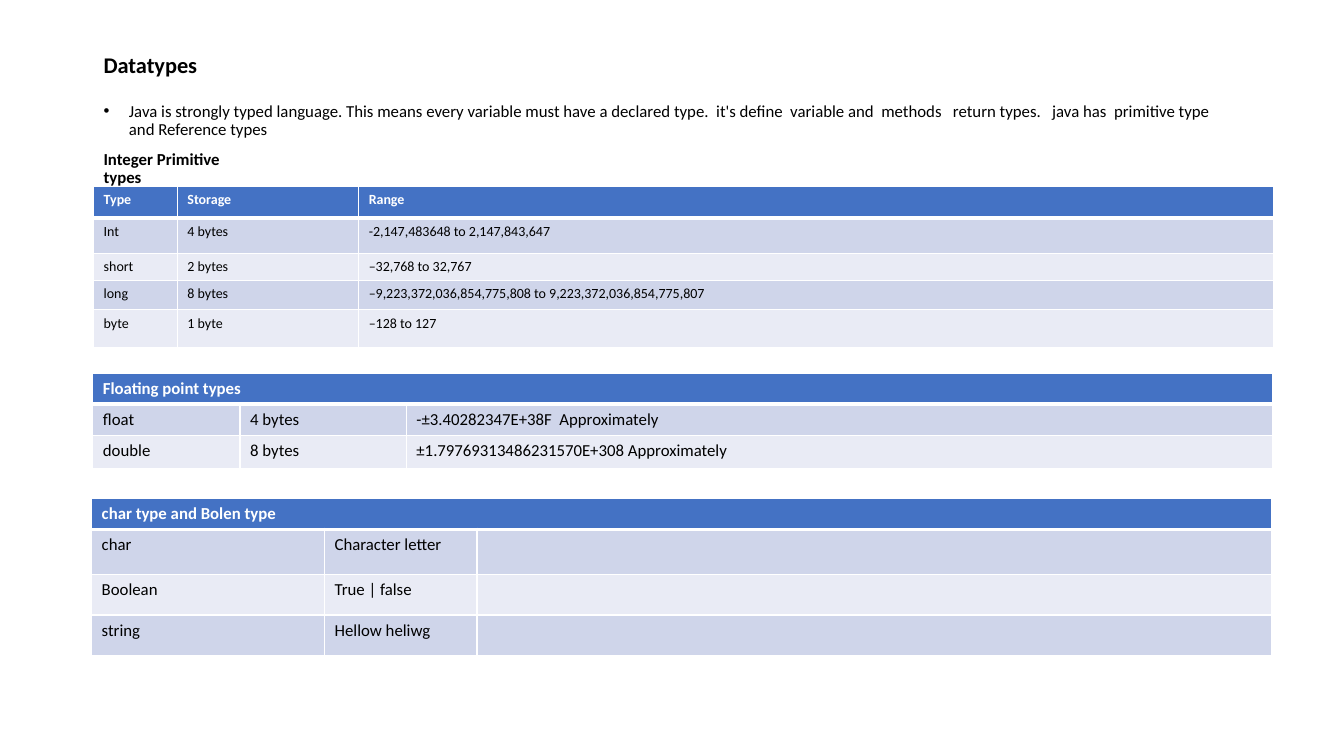
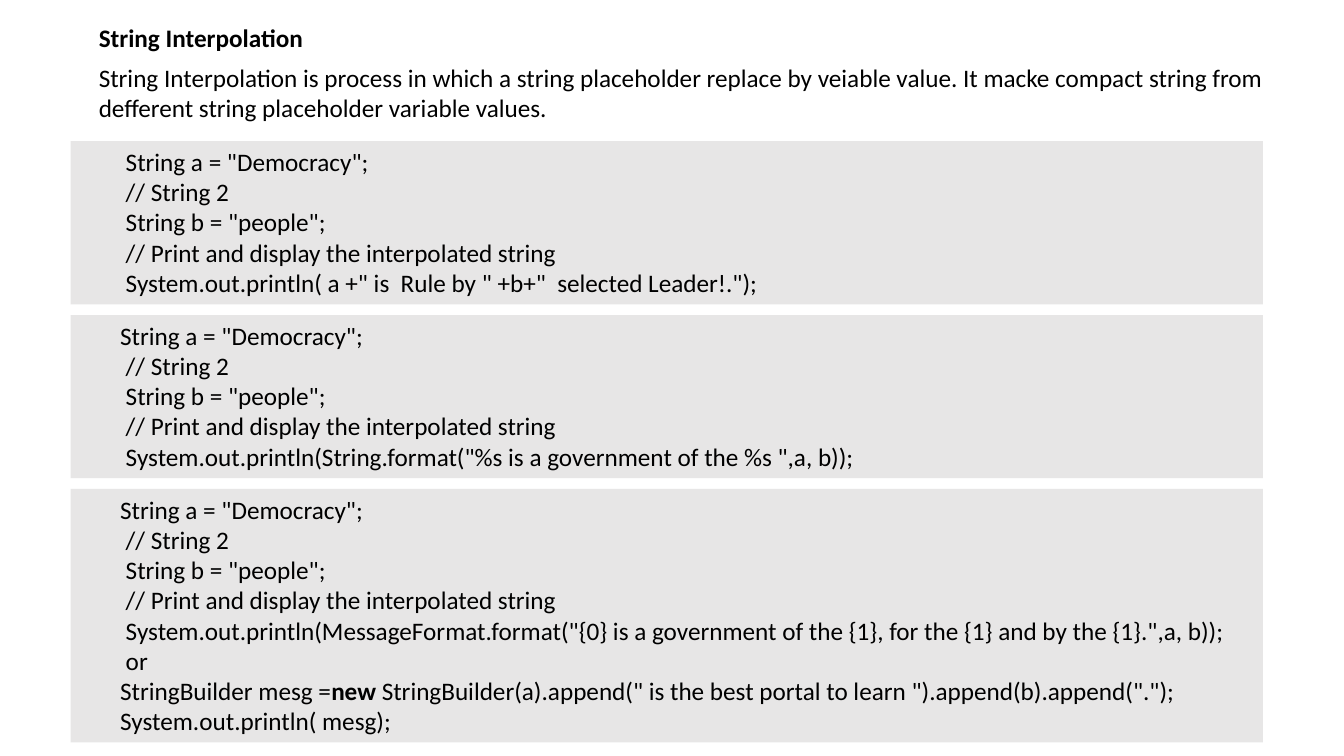
from dataclasses import dataclass

from lxml.etree import SubElement
from pptx import Presentation
from pptx.dml.color import RGBColor as RGB
from pptx.enum.shapes import MSO_SHAPE as SHAPE
from pptx.enum.text import MSO_ANCHOR as ANCHOR, PP_ALIGN as ALIGN
from pptx.oxml.ns import qn
from pptx.util import Cm, Pt


@dataclass(frozen=True)
class Theme:
    font: str = "Calibri"
    ink: str = "000000"
    white: str = "FFFFFF"
    header: str = "4472C4"
    bands: tuple = ("CFD5EA", "E9EBF5")
    panel: str = "E7E6E6"
    title: int = 16
    body: int = 12
    small: int = 10
    code: int = 18
    thin: int = 1
    thick: int = 3


T = Theme()


def add_run(p, text, size, bold=False, color=T.ink):
    r = p.add_run()
    r.text = text
    r.font.name, r.font.size, r.font.bold = T.font, Pt(size), bold
    r.font.color.rgb = RGB.from_string(color)


def add_text(s, box, text, size, bold=False, spacing=None, anchor=ANCHOR.TOP):
    tf = s.shapes.add_textbox(*map(Cm, box)).text_frame
    tf.word_wrap = True
    tf.vertical_anchor = anchor
    p = tf.paragraphs[0]
    p.line_spacing = spacing
    add_run(p, text, size, bold)
    return p


prs = Presentation()
prs.slide_width, prs.slide_height = Cm(33.87), Cm(19.05)
blank = prs.slide_layouts[6]

# Slide 1: headings and bullet
s = prs.slides.add_slide(blank)
add_text(s, (2.36, 0.76, 4.52, 1.8), "Datatypes", T.title, True, 0.9, ANCHOR.MIDDLE)
p = add_text(
    s, (2.36, 2.46, 28.7, 1.4),
    "Java is strongly typed language. This means every variable must have a declared type.  "
    "it's define  variable and  methods   return types.   java has  primitive type and Reference types",
    T.body, spacing=0.9)
pPr = p._p.get_or_add_pPr()
pPr.set("marL", str(Cm(0.64)))
pPr.set("indent", str(-Cm(0.64)))
SubElement(pPr, qn("a:buFont"), typeface="Arial")
SubElement(pPr, qn("a:buChar"), char="•")
add_text(s, (2.36, 3.76, 4.3, 1), "Integer Primitive types", T.body, True, 0.9, ANCHOR.MIDDLE)

# Slide 1: tables as left, top, size, first column widths, row heights, rows
table_width = 29.74
tables = [
    (2.36, 4.7, T.small, [2.11, 4.57], [0.79, 0.89, 0.69, 0.74, 0.94], [
        ["Type", "Storage", "Range"],
        ["Int", "4 bytes", "-2,147,483648 to 2,147,843,647"],
        ["short", "2 bytes", "–32,768 to 32,767"],
        ["long", "8 bytes", "–9,223,372,036,854,775,808 to 9,223,372,036,854,775,807"],
        ["byte", "1 byte", "–128 to 127"]]),
    (2.34, 9.42, T.body, [3.71, 4.19], [0.76, 0.79, 0.84], [
        ["Floating point types"],
        ["float", "4 bytes", "-±3.40282347E+38F  Approximately"],
        ["double", "8 bytes", "±1.79769313486231570E+308 Approximately"]]),
    (2.31, 12.55, T.body, [5.87, 3.84], [0.79, 1.14, 1.02, 1.02], [
        ["char type and Bolen type"],
        ["char", "Character letter"],
        ["Boolean", "True | false"],
        ["string", "Hellow heliwg"]]),
]
for left, top, size, widths, heights, rows in tables:
    widths = widths + [table_width - sum(widths)]
    table = s.shapes.add_table(len(rows), len(widths), Cm(left), Cm(top),
                               Cm(table_width), Cm(sum(heights))).table
    for col, width in zip(table.columns, widths):
        col.width = Cm(width)
    for row, height in zip(table.rows, heights):
        row.height = Cm(height)
    if len(rows[0]) == 1:
        table.cell(0, 0).merge(table.cell(0, len(widths) - 1))

    for i, texts in enumerate(rows):
        is_header = i == 0
        for j in range(len(widths)):
            cell = table.cell(i, j)
            # A thick line parts the header from the rows below
            tcPr = cell._tc.get_or_add_tcPr()
            for side in ("L", "R", "T", "B"):
                is_thick = (i, side) in ((0, "B"), (1, "T"))
                ln = SubElement(tcPr, qn(f"a:ln{side}"), w=str(Pt(T.thick if is_thick else T.thin)))
                SubElement(SubElement(ln, qn("a:solidFill")), qn("a:srgbClr"), val=T.white)
            cell.fill.solid()
            cell.fill.fore_color.rgb = RGB.from_string(T.header if is_header else T.bands[(i - 1) % 2])
            p = cell.text_frame.paragraphs[0]
            if j < len(texts):
                add_run(p, texts[j], size, is_header, T.white if is_header else T.ink)
            else:
                p._p.get_or_add_endParaRPr().set("sz", str(size * 100))

# Slide 2: heading and introduction
s = prs.slides.add_slide(blank)
add_text(s, (2.24, 0.43, 5.94, 1.02), "String Interpolation", T.code, True)
add_text(s, (2.24, 1.45, 30.35, 1.8),
         "String Interpolation is process in which a string placeholder replace by veiable value. "
         "It macke compact string from defferent string placeholder variable values.", T.code)

# Slide 2: code panels, each line an indent and its runs; odd runs are bold
near, far = 1, 1.14
declare_a = 'String a = "Democracy";'
shared = [(far, [line]) for line in (
    "// String 2", 'String b = "people";', "// Print and display the interpolated string")]
panels = [
    [(far, [declare_a]), *shared,
     (far, ['System.out.println( a +" is  Rule by " +b+"  selected Leader!.");'])],
    [(near, [declare_a]), *shared,
     (far, ['System.out.println(String.format("%s is a government of the %s ",a, b));'])],
    [(near, [declare_a]), *shared,
     (far, ['System.out.println(MessageFormat.format("{0} is a government of the {1}, '
            'for the {1} and by the {1}.",a, b));']),
     (far, ["or"]),
     (near, ["StringBuilder mesg =", "new",
             ' StringBuilder(a).append(" is the best portal to learn ").append(b).append(".");']),
     (near, ["System.out.println( mesg);"])],
]
top, gap, line_height, padding = 3.56, 0.27, 0.76, 0.31
for lines in panels:
    height = line_height * len(lines) + padding
    sp = s.shapes.add_shape(SHAPE.RECTANGLE, Cm(1.78), Cm(top), Cm(30.05), Cm(height))
    sp.shadow.inherit = False
    sp.fill.solid()
    sp.fill.fore_color.rgb = RGB.from_string(T.panel)
    sp.line.fill.background()
    tf = sp.text_frame
    tf.word_wrap = True
    tf.vertical_anchor = ANCHOR.TOP
    for i, (indent, runs) in enumerate(lines):
        p = tf.add_paragraph() if i else tf.paragraphs[0]
        p.alignment = ALIGN.LEFT
        p._p.get_or_add_pPr().set("marL", str(Cm(indent)))
        for k, text in enumerate(runs):
            add_run(p, text, T.code, k % 2 == 1)
    top += height + gap

prs.save("out.pptx")
